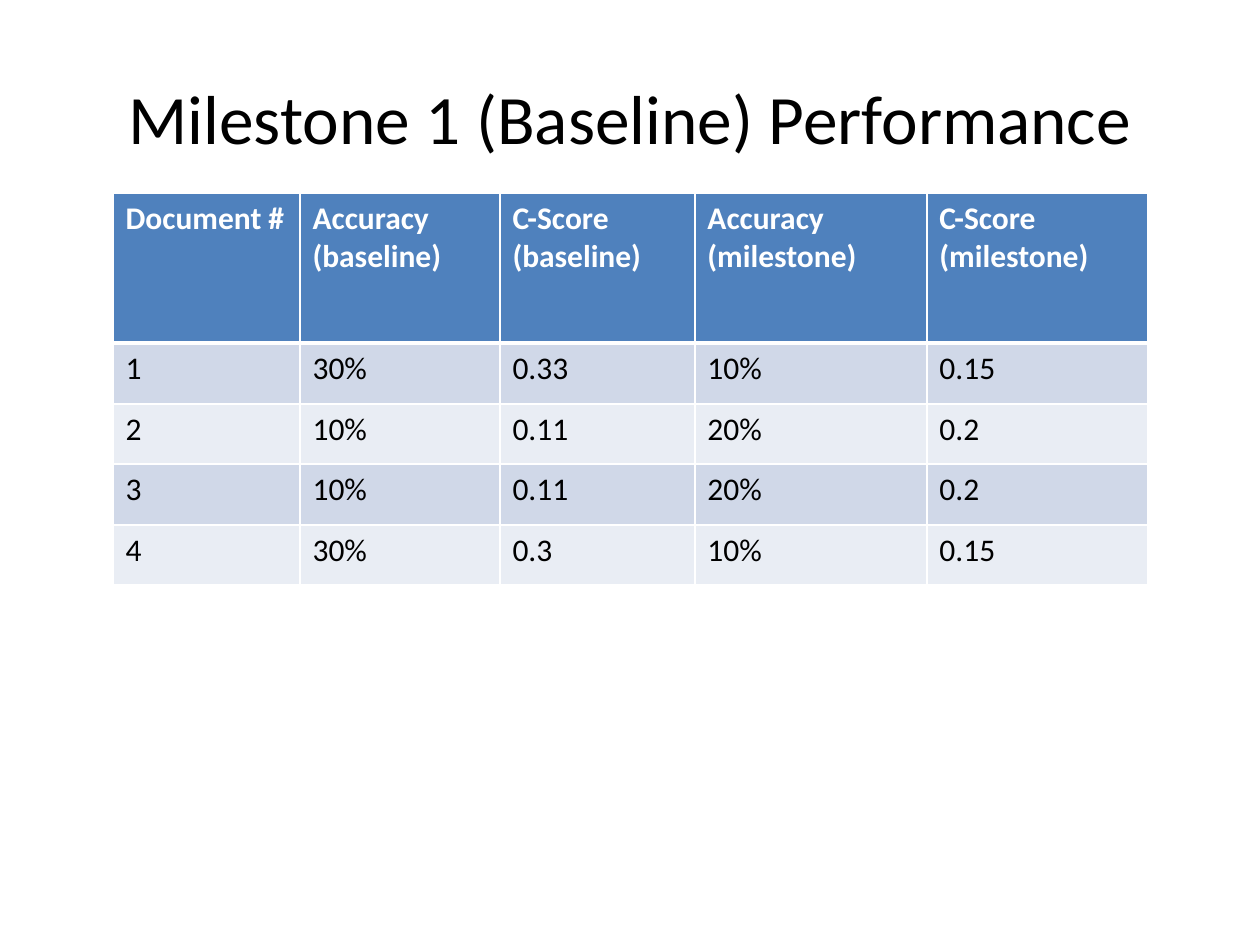
from dataclasses import dataclass

from lxml import etree
from pptx import Presentation
from pptx import util as u
from pptx.dml.color import RGBColor
from pptx.enum import text
from pptx.oxml import ns

SCALE = 914400 / 126


@dataclass
class Theme:
    font: str = "Calibri"
    black: str = "000000"
    white: str = "FFFFFF"
    head: str = "4F81BD"
    bands: tuple = ("D0D8E8", "E9EDF4")
    title: float = 39.6
    body: float = 18


LOOK = Theme()

HEADS = ["Document #", "Accuracy (baseline)", "C-Score (baseline)",
         "Accuracy\n(milestone)", "C-Score (milestone)"]
SCORES = [
    ["1", "30%", "0.33", "10%", "0.15"],
    ["2", "10%", "0.11", "20%", "0.2"],
    ["3", "10%", "0.11", "20%", "0.2"],
    ["4", "30%", "0.3", "10%", "0.15"],
]
WIDTHS = [187, 200, 195, 232, 221]
HEIGHTS = [150, 61, 60, 61, 60]


def px(n):
    return u.Emu(round(n * SCALE))


def write(frame, words, size, color, bold=False, align=text.PP_ALIGN.LEFT):
    for i, line in enumerate(words.split("\n")):
        para = frame.add_paragraph() if i else frame.paragraphs[0]
        para.alignment = align
        run = para.add_run()
        run.text = line
        font = run.font
        font.name, font.size, font.bold = LOOK.font, u.Pt(size), bold
        font.color.rgb = RGBColor.from_string(color)


def border(cell, widths):
    props = cell._tc.get_or_add_tcPr()
    for i, (side, width) in enumerate(zip("LRTB", widths)):
        line = etree.Element(ns.qn(f"a:ln{side}"), w=str(u.Pt(width)))
        fill = etree.SubElement(line, ns.qn("a:solidFill"))
        etree.SubElement(fill, ns.qn("a:srgbClr"), val=LOOK.white)
        props.insert(i, line)


def add_title(slide, box, words):
    title = slide.shapes.title
    title.left, title.top, title.width, title.height = map(px, box)
    frame = title.text_frame
    frame.word_wrap = True
    frame.auto_size = text.MSO_AUTO_SIZE.NONE
    frame.vertical_anchor = text.MSO_ANCHOR.MIDDLE
    write(frame, words, LOOK.title, LOOK.black, align=text.PP_ALIGN.CENTER)


def add_scores(slide, left, top):
    rows = [HEADS] + SCORES
    box = map(px, (left, top, sum(WIDTHS), sum(HEIGHTS)))
    table = slide.shapes.add_table(len(rows), len(HEADS), *box).table
    for col, width in zip(table.columns, WIDTHS):
        col.width = px(width)
    for r, row in enumerate(rows):
        table.rows[r].height = px(HEIGHTS[r])
        head = r == 0
        shade = LOOK.head if head else LOOK.bands[(r - 1) % 2]
        color = LOOK.white if head else LOOK.black
        for c, words in enumerate(row):
            cell = table.cell(r, c)
            cell.fill.solid()
            cell.fill.fore_color.rgb = RGBColor.from_string(shade)
            border(cell, (1, 1, 3 if r == 1 else 1, 3 if head else 1))
            write(cell.text_frame, words, LOOK.body, color, head)


deck = Presentation()
deck.slide_width, deck.slide_height = px(1260), px(945)
page = deck.slides.add_slide(deck.slide_layouts[5])
add_title(page, (63, 38, 1134, 157), "Milestone 1 (Baseline) Performance")
add_scores(page, 113, 193)
deck.save("out.pptx")
